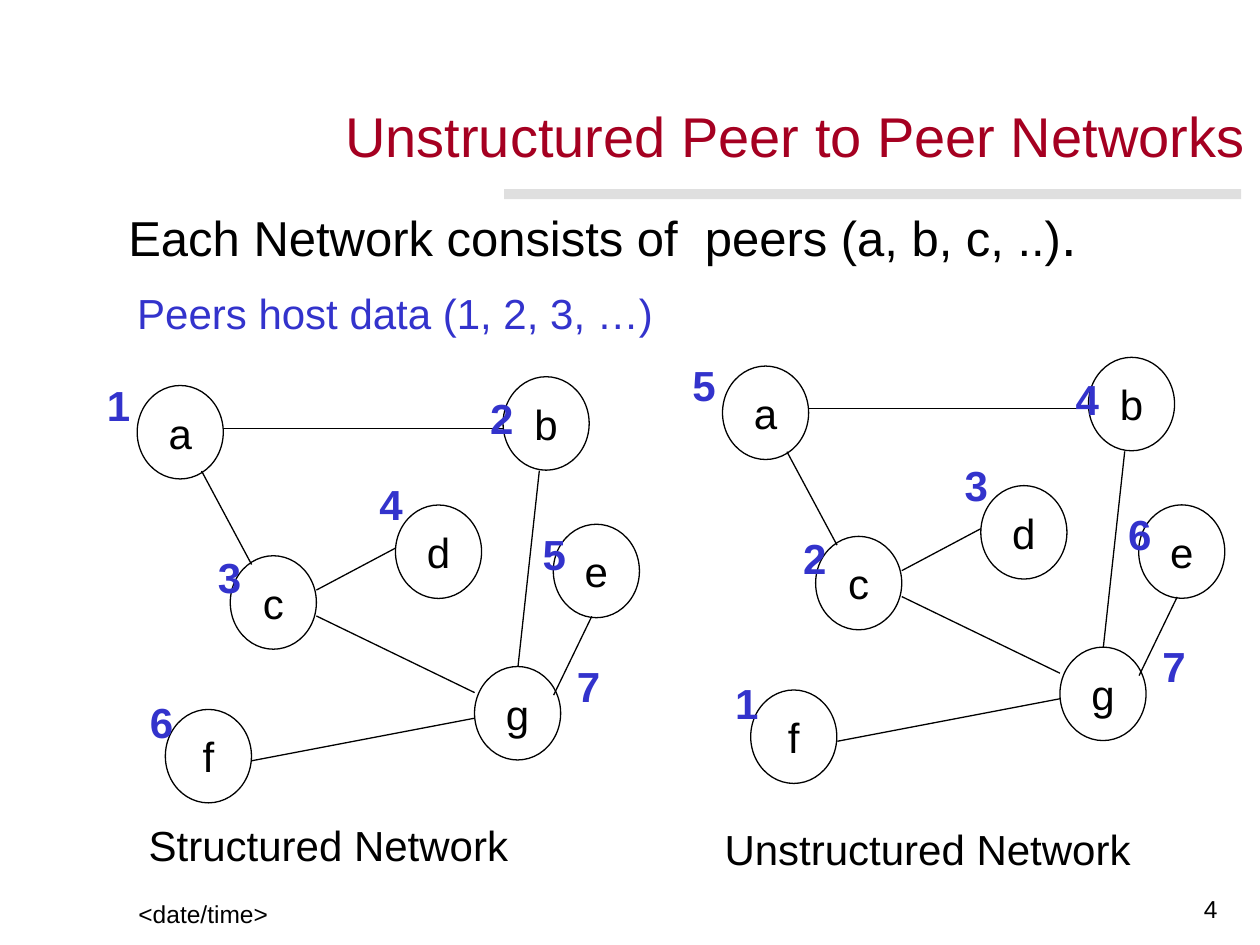
from typing import NamedTuple

from lxml import etree
from pptx import Presentation
from pptx.dml.color import RGBColor
from pptx.enum import shapes, text
from pptx.oxml import ns
from pptx.util import Pt

BLACK = RGBColor(0x00, 0x00, 0x00)
WHITE = RGBColor(0xFF, 0xFF, 0xFF)
CRIMSON = RGBColor(0xA5, 0x00, 0x21)
BLUE = RGBColor(0x33, 0x33, 0xCC)
SILVER = RGBColor(0xC0, 0xC0, 0xC0)
FONT = "Arial"
PEER_WIDTH, PEER_HEIGHT = 49.2, 53.4


class Peer(NamedTuple):
    name: str
    left: float
    top: float
    data_left: float
    data_top: float
    filled: bool = True


class Link(NamedTuple):
    x1: float
    y1: float
    x2: float
    y2: float


class Network(NamedTuple):
    dx: float
    dy: float
    data: dict[str, str]


PEERS = [
    Peer("a", 78.4, 220.3, 54, 213.1),
    Peer("c", 131.6, 317.6, 117.4, 311.6, False),
    Peer("b", 287.5, 215.3, 273, 221),
    Peer("f", 94.5, 405.4, 78.5, 394.7),
    Peer("g", 271.2, 380.9, 322.6, 373.7),
    Peer("d", 226, 288.6, 209.7, 270),
    Peer("e", 316.2, 299.6, 303, 298.2),
]
LINKS = [
    Link(115.2, 269.2, 143.8, 322.6),
    Link(180.8, 352, 271.2, 395.8),
    Link(226, 313.2, 180.8, 337.2),
    Link(144, 434.7, 271.2, 410.4),
    Link(127.6, 244.7, 287.5, 244.7),
    Link(308.2, 269, 296, 380.9),
    Link(338.2, 352.2, 316.4, 397.2),
]
NETWORKS = [
    Network(0, 0, dict(a="1", b="2", c="3", d="4", e="5", f="6", g="7")),
    Network(334.5, -11.1, dict(a="5", b="4", c="2", d="3", e="6", f="1", g="7")),
]


def place(item, left: float, top: float, width: float, height: float) -> None:
    item.left, item.top, item.width, item.height = map(Pt, (left, top, width, height))


def write(box, words: str, *, size: float = 24, color: RGBColor = BLACK, bold: bool = False,
          align=text.PP_ALIGN.LEFT, anchor=text.MSO_ANCHOR.TOP, wrap: bool = False,
          inset: tuple[float, float] = (7.2, 3.6), leading: float | None = None):
    frame = box.text_frame
    frame.auto_size = text.MSO_AUTO_SIZE.NONE
    frame.word_wrap = wrap
    frame.vertical_anchor = anchor
    frame.margin_left = frame.margin_right = Pt(inset[0])
    frame.margin_top = frame.margin_bottom = Pt(inset[1])
    para = frame.paragraphs[0]
    para.alignment = align
    para.space_before = Pt(0)
    if leading:
        para.line_spacing = Pt(leading)
    span = para.add_run()
    span.text = words
    span.font.name = FONT
    span.font.size = Pt(size)
    span.font.bold = bold
    span.font.color.rgb = color
    return para


def add_text(page, words: str, left: float, top: float, width: float, height: float, **style):
    box = page.shapes.add_textbox(Pt(left), Pt(top), Pt(width), Pt(height))
    return write(box, words, **style)


def add_rule(page) -> None:
    rule = page.shapes.add_shape(
        shapes.MSO_SHAPE.ROUNDED_RECTANGLE, Pt(288), Pt(108), Pt(421.2), Pt(5.8))
    rule.adjustments[0] = 0.02
    rule.shadow.inherit = False
    rule.line.fill.background()
    rule.fill.solid()
    rule.fill.fore_color.rgb = SILVER
    color = rule.fill._xPr.find(".//" + ns.qn("a:srgbClr"))
    etree.SubElement(color, ns.qn("a:alpha"), val="50000")


def add_peer(page, peer: Peer, dx: float, dy: float) -> None:
    oval = page.shapes.add_shape(
        shapes.MSO_SHAPE.OVAL, Pt(peer.left + dx), Pt(peer.top + dy),
        Pt(PEER_WIDTH), Pt(PEER_HEIGHT))
    oval.shadow.inherit = False
    if peer.filled:
        oval.fill.solid()
        oval.fill.fore_color.rgb = WHITE
    else:
        oval.fill.background()
    oval.line.color.rgb = BLACK
    oval.line.width = Pt(0.75)
    write(oval, peer.name, align=text.PP_ALIGN.CENTER, anchor=text.MSO_ANCHOR.MIDDLE)


def add_link(page, link: Link, dx: float, dy: float) -> None:
    line = page.shapes.add_connector(
        shapes.MSO_CONNECTOR.STRAIGHT, Pt(link.x1 + dx), Pt(link.y1 + dy),
        Pt(link.x2 + dx), Pt(link.y2 + dy))
    line.line.color.rgb = BLACK
    line.line.width = Pt(0.75)
    etree.SubElement(line._element.spPr, ns.qn("a:effectLst"))


def add_network(page, network: Network) -> None:
    dx, dy = network.dx, network.dy
    for peer in PEERS:
        add_peer(page, peer, dx, dy)
    for link in LINKS:
        add_link(page, link, dx, dy)
    for peer in PEERS:
        add_text(page, network.data[peer.name], peer.data_left + dx, peer.data_top + dy,
                 27.4, 36, color=BLUE, bold=True)


def main() -> None:
    deck = Presentation()
    deck.slide_width, deck.slide_height = Pt(720), Pt(540)
    page = deck.slides.add_slide(deck.slide_layouts[5])

    title = page.shapes.title
    place(title, 197.3, 63.4, 514.8, 33.1)
    write(title, "Unstructured Peer to Peer Networks", size=32, color=CRIMSON,
          inset=(0, 0), leading=33.2)
    add_rule(page)

    para = add_text(page, "Each Network consists of  peers (a, b, c, ..)", 73.4, 128.2, 705.6, 49.7,
                    size=28, wrap=True, inset=(0, 0), leading=24.8)
    span = para.add_run()
    span.text = "."
    span.font.name = FONT
    span.font.size = Pt(32)
    span.font.color.rgb = BLACK
    add_text(page, "Peers host data (1, 2, 3, …)", 71.3, 160.6, 308.9, 36, color=BLUE)

    for network in NETWORKS:
        add_network(page, network)

    caption = dict(wrap=True, inset=(0, 0), leading=24.8)
    add_text(page, "Structured Network", 85, 472.3, 218.2, 24.5, **caption)
    add_text(page, "Unstructured Network", 414, 474.5, 275, 24.5, **caption)

    footer = dict(size=14, wrap=True, anchor=text.MSO_ANCHOR.BOTTOM)
    add_text(page, "<date/time>", 72, 498.2, 149.8, 36, **footer)
    add_text(page, "4", 553, 506.9, 149.8, 24.5, align=text.PP_ALIGN.RIGHT, **footer)

    deck.save("out.pptx")


if __name__ == "__main__":
    main()
